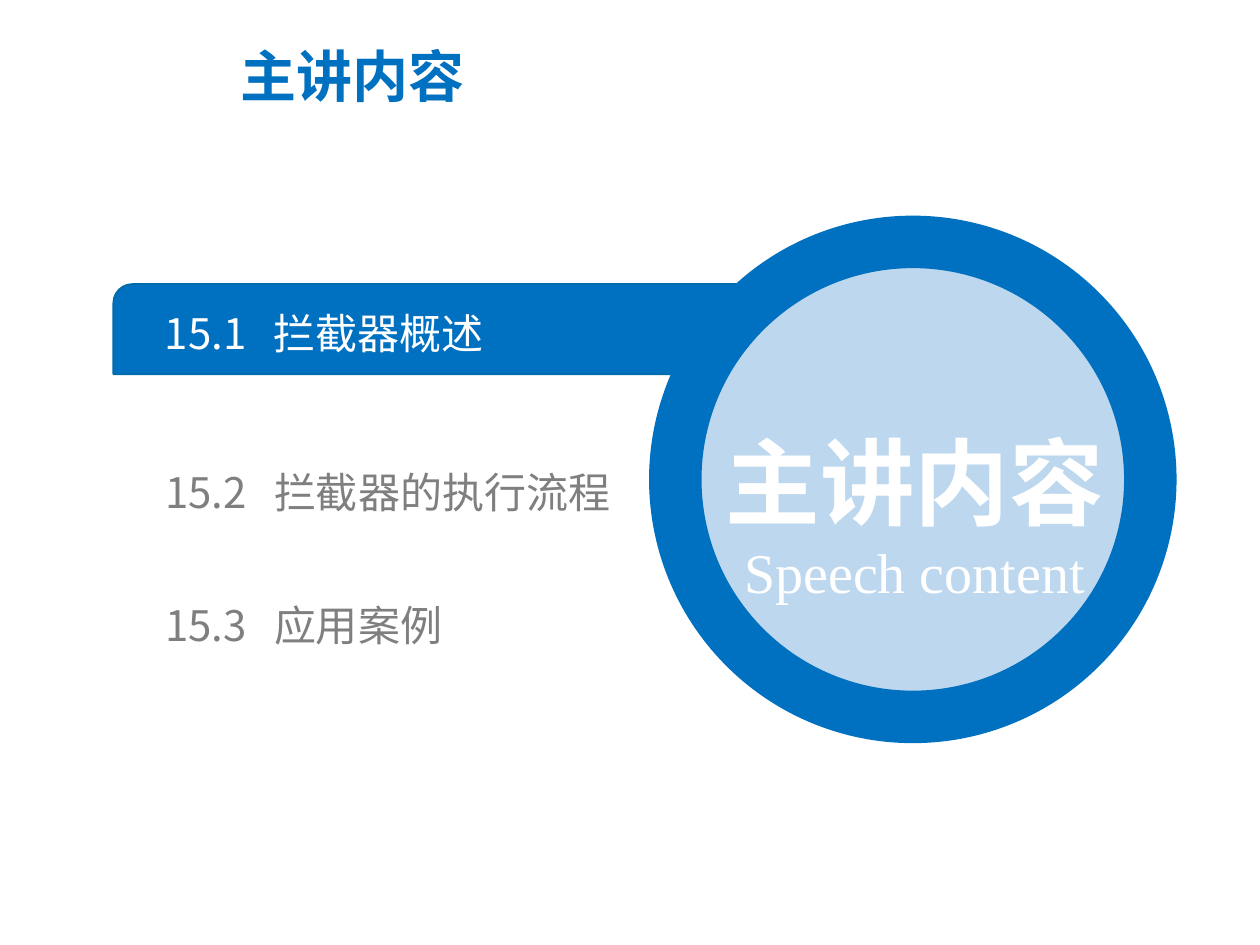
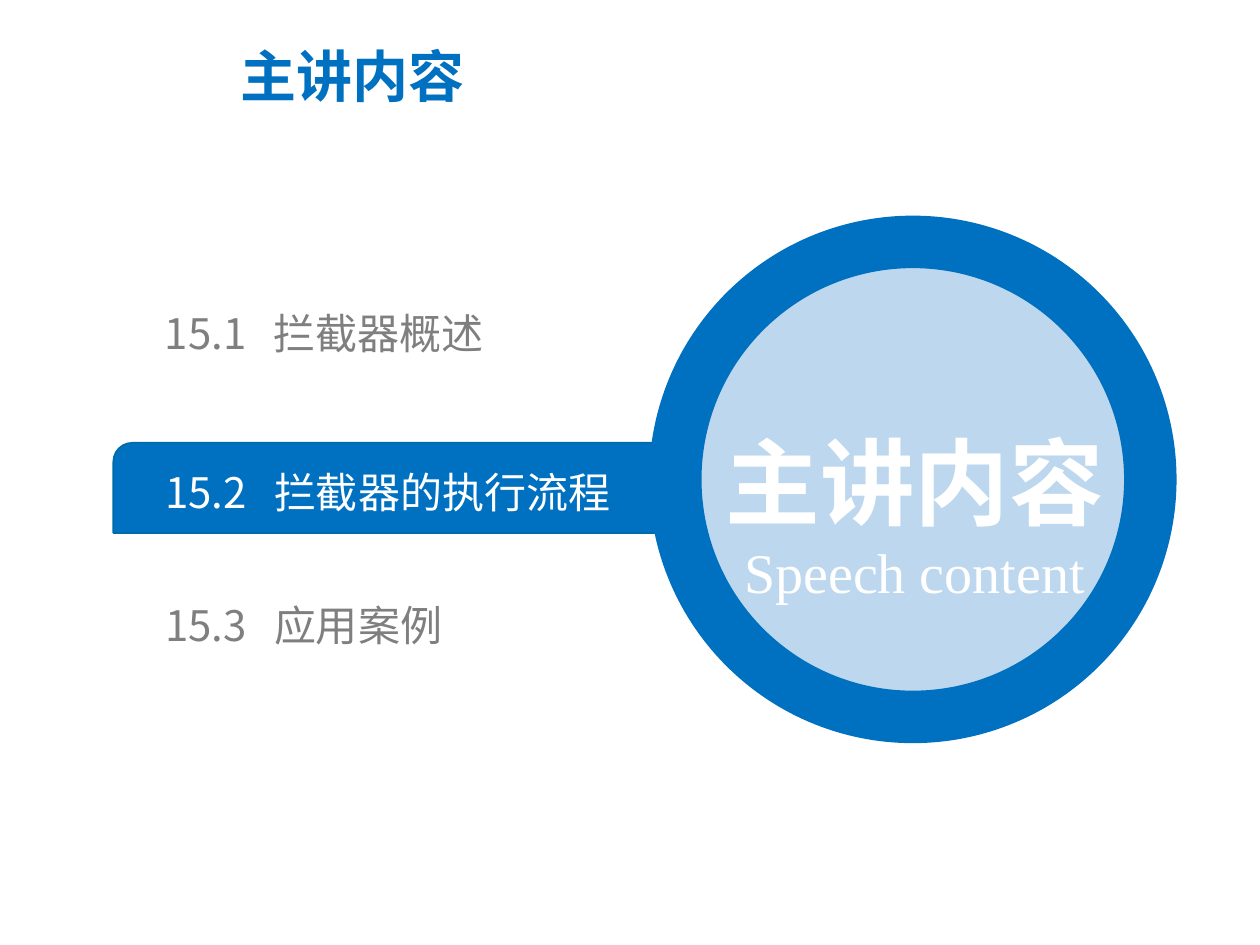
from typing import NamedTuple

from lxml import etree
from pptx import Presentation
from pptx import util as u
from pptx.dml.color import RGBColor
from pptx.enum import shapes, text
from pptx.oxml import ns

WIDE, HIGH = u.Inches(10), u.Inches(7.5)
COLS, ROWS = 100, 75
INKS = {"blue": "0070C0", "edge": "006BA9", "pale": "BDD7EE", "grey": "7F7F7F", "white": "FFFFFF"}
HAN, LATIN = "Noto Sans CJK SC", "Times New Roman"
HEAD = "主讲内容"
TAB = 8.65
LIFT = 1.85


class Box(NamedTuple):
    col: float
    row: float
    cols: float
    rows: float


class Style(NamedTuple):
    size: float
    ink: str
    bold: bool = False
    face: str = HAN
    space: float = 1.0
    align: text.PP_ALIGN = text.PP_ALIGN.LEFT


class Topic(NamedTuple):
    number: str
    name: str
    box: Box


TITLE = Style(32, "blue", True, space=0.9)
HERO = Style(54, "white", True, space=1.5, align=text.PP_ALIGN.CENTER)
SUB = Style(32, "white", face=LATIN, align=text.PP_ALIGN.CENTER)

TOPICS = [
    Topic("15.1", "拦截器概述", Box(13.1, 24.4, 47.6, 4)),
    Topic("15.2", "拦截器的执行流程", Box(13.1, 37, 46.2, 4)),
    Topic("15.3", "应用案例", Box(13.1, 47.6, 41.5, 4)),
]


def place(box: Box) -> tuple[int, int, int, int]:
    cell, line = WIDE / COLS, HIGH / ROWS
    return (round(box.col * cell), round(box.row * line),
            round(box.cols * cell), round(box.rows * line))


def tint(name: str) -> RGBColor:
    return RGBColor.from_string(INKS[name])


def dress(para, style: Style) -> None:
    para.alignment = style.align
    para.line_spacing = style.space
    for run in para.runs:
        font = run.font
        font.size = u.Pt(style.size)
        font.bold = style.bold
        font.name = style.face
        font.color.rgb = tint(style.ink)
        etree.SubElement(font._element, ns.qn("a:ea"), typeface=style.face)


def write(slide, box: Box, lines: list[tuple[str, Style]],
          anchor=text.MSO_ANCHOR.MIDDLE, inset: bool = True, grow: bool = True):
    frame = slide.shapes.add_textbox(*place(box)).text_frame
    frame.word_wrap = True
    frame.vertical_anchor = anchor
    frame.auto_size = text.MSO_AUTO_SIZE.SHAPE_TO_FIT_TEXT if grow else text.MSO_AUTO_SIZE.NONE
    if not inset:
        frame.margin_left = frame.margin_right = frame.margin_top = frame.margin_bottom = 0
    frame.text = "\n".join(words for words, _ in lines)
    for para, (_, style) in zip(frame.paragraphs, lines):
        dress(para, style)
    return frame


def draw(slide, kind: shapes.MSO_SHAPE, box: Box, fill: str, edge: str, width: float):
    shape = slide.shapes.add_shape(kind, *place(box))
    shape.shadow.inherit = False
    shape.fill.solid()
    shape.fill.fore_color.rgb = tint(fill)
    shape.line.color.rgb = tint(edge)
    shape.line.width = u.Pt(width)
    return shape


def list_topic(slide, topic: Topic, ink: str) -> None:
    words = f"{topic.number}\t{topic.name}"
    frame = write(slide, topic.box, [(words, Style(24, ink))], inset=False)
    props = frame.paragraphs[0]._p.get_or_add_pPr()
    stops = etree.SubElement(props, ns.qn("a:tabLst"))
    etree.SubElement(stops, ns.qn("a:tab"), pos=str(round(TAB * WIDE / COLS)), algn="l")


def build(deck, active: Topic) -> None:
    slide = deck.slides.add_slide(deck.slide_layouts[6])
    write(slide, Box(18.1, 3.4, 61.5, 8.5), [(HEAD, TITLE)], text.MSO_ANCHOR.TOP, grow=False)
    band = draw(slide, shapes.MSO_SHAPE.ROUND_2_DIAG_RECTANGLE,
                Box(9, active.box.row - LIFT, 62.6, 7.15), "blue", "edge", 1)
    band.adjustments[0] = 0.21
    draw(slide, shapes.MSO_SHAPE.OVAL, Box(53.6, 19.2, 37.7, 37.7), "pale", "blue", 30)
    write(slide, Box(53.1, 28.6, 39, 19.9), [(HEAD, HERO), ("Speech content", SUB)])
    for topic in TOPICS:
        list_topic(slide, topic, "white" if topic is active else "grey")


def main() -> None:
    deck = Presentation()
    deck.slide_width, deck.slide_height = WIDE, HIGH
    for topic in TOPICS[:2]:
        build(deck, topic)
    deck.save("out.pptx")


if __name__ == "__main__":
    main()
